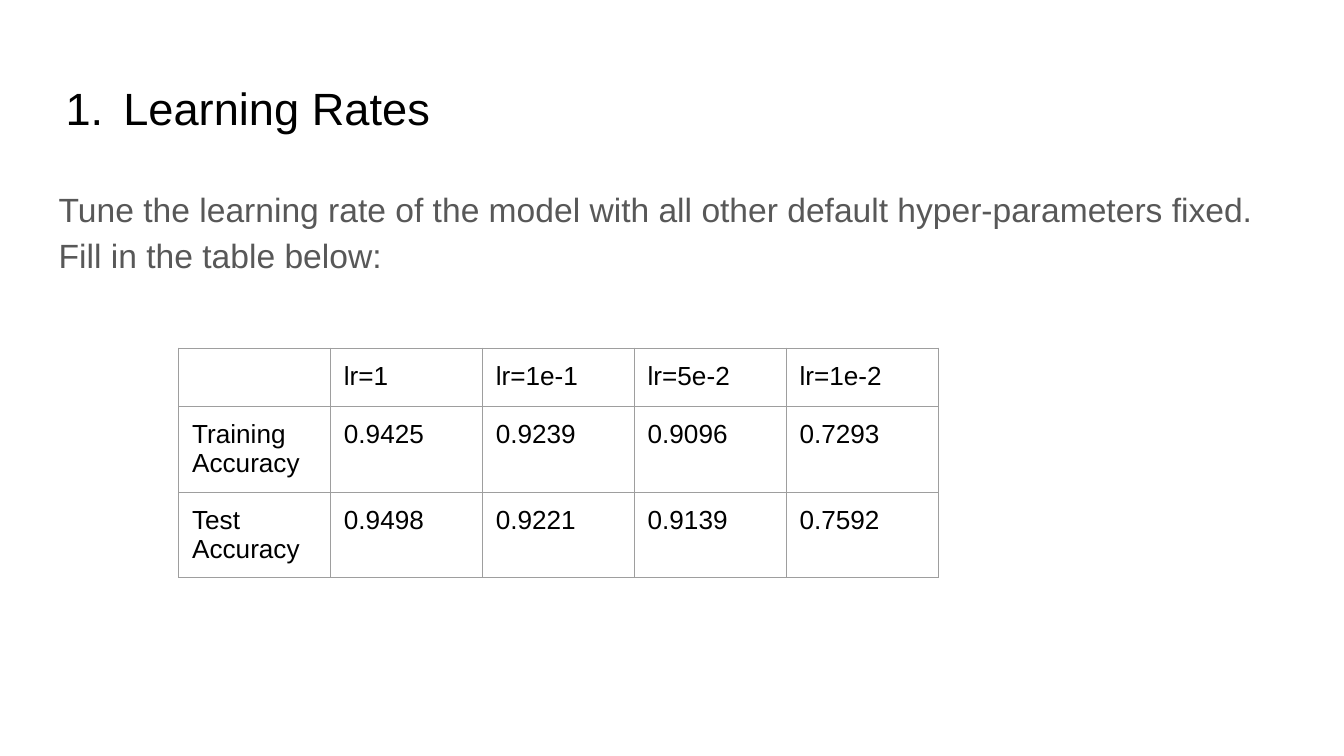
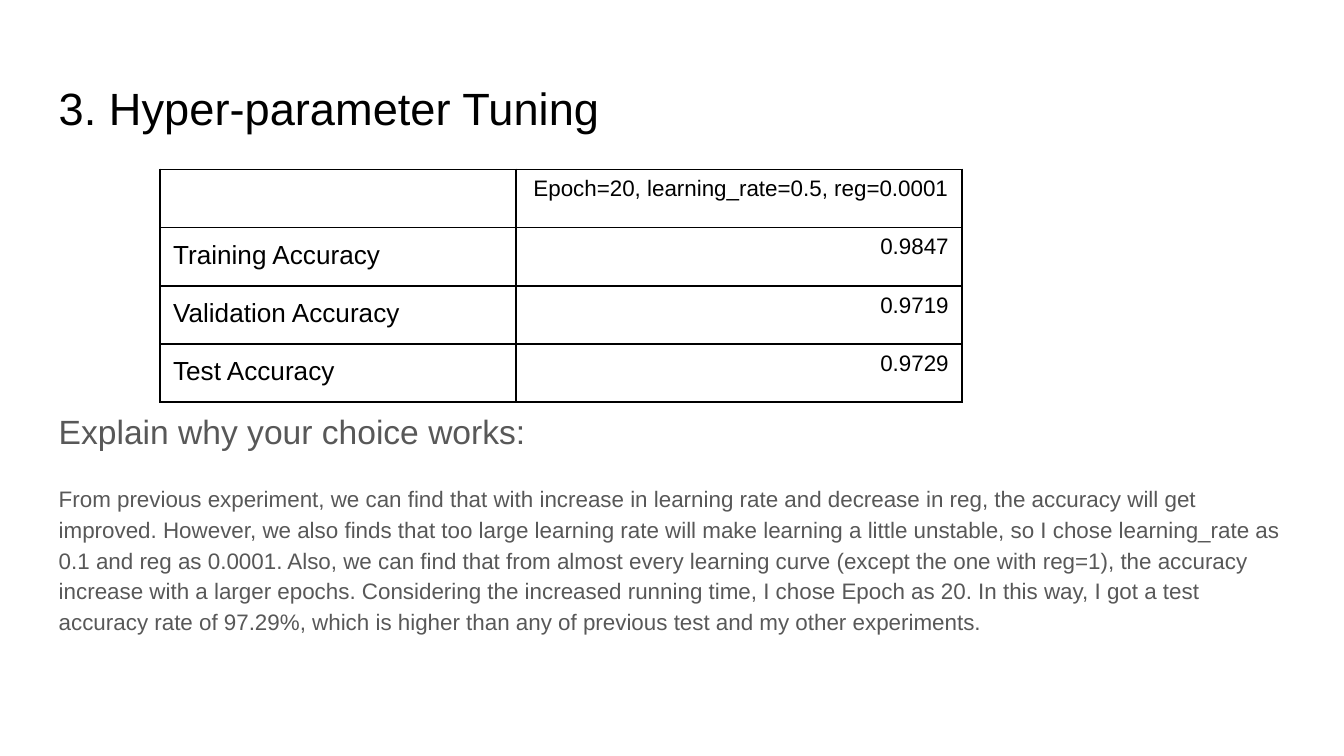
from lxml import etree
from pptx import Presentation
from pptx.dml.color import RGBColor
from pptx.enum import text
from pptx.oxml import ns
from pptx.util import Cm, Pt

BLACK = RGBColor(0x00, 0x00, 0x00)
BODY_GREY = RGBColor(0x58, 0x58, 0x58)
GRID_GREY = RGBColor(0x9E, 0x9E, 0x9E)
FONT = "Arial"
INSET = 0.25
LEFT, WIDTH, BODY_BOTTOM = 0.86, 23.67, 12.7

LABEL = {"size": 14, "inset": INSET, "align": text.PP_ALIGN.LEFT}
VALUE = {"size": 12, "inset": 0.13, "align": text.PP_ALIGN.RIGHT}

SLIDES = [
    {
        "title": "Learning Rates",
        "numbered": True,
        "body_top": 3.2,
        "body": [
            ("Tune the learning rate of the model with all other default "
             "hyper-parameters fixed. Fill in the table below:", 18),
        ],
        "table": {
            "at": (3.38, 6.58),
            "cols": [2.87] * 5,
            "rows": [1.07, 1.62, 1.62],
            "line": (GRID_GREY, 0.75),
            "formats": [LABEL] * 5,
            "cells": [
                ["", "lr=1", "lr=1e-1", "lr=5e-2", "lr=1e-2"],
                ["Training Accuracy", "0.9425", "0.9239", "0.9096", "0.7293"],
                ["Test Accuracy", "0.9498", "0.9221", "0.9139", "0.7592"],
            ],
        },
    },
    {
        "title": "3. Hyper-parameter Tuning",
        "numbered": False,
        "body_top": 7.4,
        "body": [
            ("Explain why your choice works:", 18),
            ("From previous experiment, we can find that with increase in "
             "learning rate and decrease in reg, the accuracy will get "
             "improved. However, we also finds that too large learning rate "
             "will make learning a little unstable, so I chose learning_rate "
             "as 0.1 and reg as 0.0001. Also, we can find that from almost "
             "every learning curve (except the one with reg=1), the accuracy "
             "increase with a larger epochs. Considering the increased "
             "running time, I chose Epoch as 20. In this way, I got a test "
             "accuracy rate of 97.29%, which is higher than any of previous "
             "test and my other experiments.", 12),
        ],
        "table": {
            "at": (3.02, 3.2),
            "cols": [6.73, 8.43],
            "rows": [0.8] + [1.1] * 3,
            "line": (BLACK, 1),
            "formats": [LABEL, VALUE],
            "cells": [
                ["", "Epoch=20, learning_rate=0.5, reg=0.0001"],
                ["Training Accuracy", "0.9847"],
                ["Validation Accuracy", "0.9719"],
                ["Test Accuracy", "0.9729"],
            ],
        },
    },
]


def set_attrs(obj, values):
    for name, value in values.items():
        setattr(obj, name, value)


def write(p, words, size, color):
    r = p.add_run()
    r.text = words
    set_attrs(r.font, {"name": FONT, "size": Pt(size)})
    r.font.color.rgb = color


def set_bullet(p, number_type=None, margin=0, indent=0):
    """Number the paragraph, or clear the template's bullet."""
    pPr = p._p.get_or_add_pPr()
    pPr.set("marL", str(Cm(margin)))
    pPr.set("indent", str(Cm(indent)))
    if number_type:
        font = etree.SubElement(pPr, ns.qn("a:buFont"))
        font.set("typeface", FONT)
        etree.SubElement(pPr, ns.qn("a:buAutoNum")).set("type", number_type)
    else:
        etree.SubElement(pPr, ns.qn("a:buNone"))


def place(sp, top, height, anchor):
    """Move a placeholder into the text column and return its text frame."""
    set_attrs(sp, {"left": Cm(LEFT), "top": Cm(top),
                   "width": Cm(WIDTH), "height": Cm(height)})
    tf = sp.text_frame
    margins = ("margin_left", "margin_top", "margin_right", "margin_bottom")
    set_attrs(tf, dict.fromkeys(margins, Cm(INSET)))
    set_attrs(tf, {"word_wrap": True, "vertical_anchor": anchor,
                   "auto_size": text.MSO_AUTO_SIZE.NONE})
    return tf


def add_title(s, words, numbered):
    tf = place(s.shapes.title, 1.24, 1.6, text.MSO_ANCHOR.MIDDLE)
    p = tf.paragraphs[0]
    p.alignment = text.PP_ALIGN.LEFT
    if numbered:
        set_bullet(p, "arabicPeriod", 1.22, -1.09)
    write(p, words, 24.2, BLACK)


def add_body(s, top, paragraphs):
    tf = place(s.placeholders[1], top, BODY_BOTTOM - top, text.MSO_ANCHOR.TOP)
    for i, (words, size) in enumerate(paragraphs):
        p = tf.add_paragraph() if i else tf.paragraphs[0]
        set_attrs(p, {"line_spacing": 1.15, "space_before": Pt(16 if i else 0),
                      "alignment": text.PP_ALIGN.LEFT})
        set_bullet(p)
        write(p, words, size, BODY_GREY)


def set_borders(cell, color, width):
    tcPr = cell._tc.get_or_add_tcPr()
    for i, side in enumerate("LRTB"):
        ln = etree.Element(ns.qn(f"a:ln{side}"), w=str(Pt(width)))
        fill = etree.SubElement(ln, ns.qn("a:solidFill"))
        etree.SubElement(fill, ns.qn("a:srgbClr")).set("val", str(color))
        tcPr.insert(i, ln)


def fill_cell(cell, words, fmt, line):
    cell.fill.background()
    set_attrs(cell, {
        "margin_left": Cm(INSET), "margin_right": Cm(INSET),
        "margin_top": Cm(fmt["inset"]), "margin_bottom": Cm(fmt["inset"]),
        "vertical_anchor": text.MSO_ANCHOR.TOP,
    })
    p = cell.text_frame.paragraphs[0]
    p.alignment = fmt["align"]
    if words:
        write(p, words, fmt["size"], BLACK)
    else:
        p._p.get_or_add_endParaRPr().set("sz", str(fmt["size"] * 100))
    set_borders(cell, *line)


def add_grid(s, at, cols, rows, line, formats, cells):
    size = sum(cols), sum(rows)
    frame = s.shapes.add_table(len(rows), len(cols), *map(Cm, at + size))
    table = frame.table
    set_attrs(table, {"first_row": False, "horz_banding": False})
    for col, width in zip(table.columns, cols):
        col.width = Cm(width)
    for row, height, values in zip(table.rows, rows, cells):
        row.height = Cm(height)
        for cell, words, fmt in zip(row.cells, values, formats):
            fill_cell(cell, words, fmt, line)


def main():
    prs = Presentation()
    set_attrs(prs, {"slide_width": Cm(25.4), "slide_height": Cm(14.29)})
    for content in SLIDES:
        s = prs.slides.add_slide(prs.slide_layouts[1])
        add_title(s, content["title"], content["numbered"])
        add_body(s, content["body_top"], content["body"])
        add_grid(s, **content["table"])
    prs.save("out.pptx")


if __name__ == "__main__":
    main()
